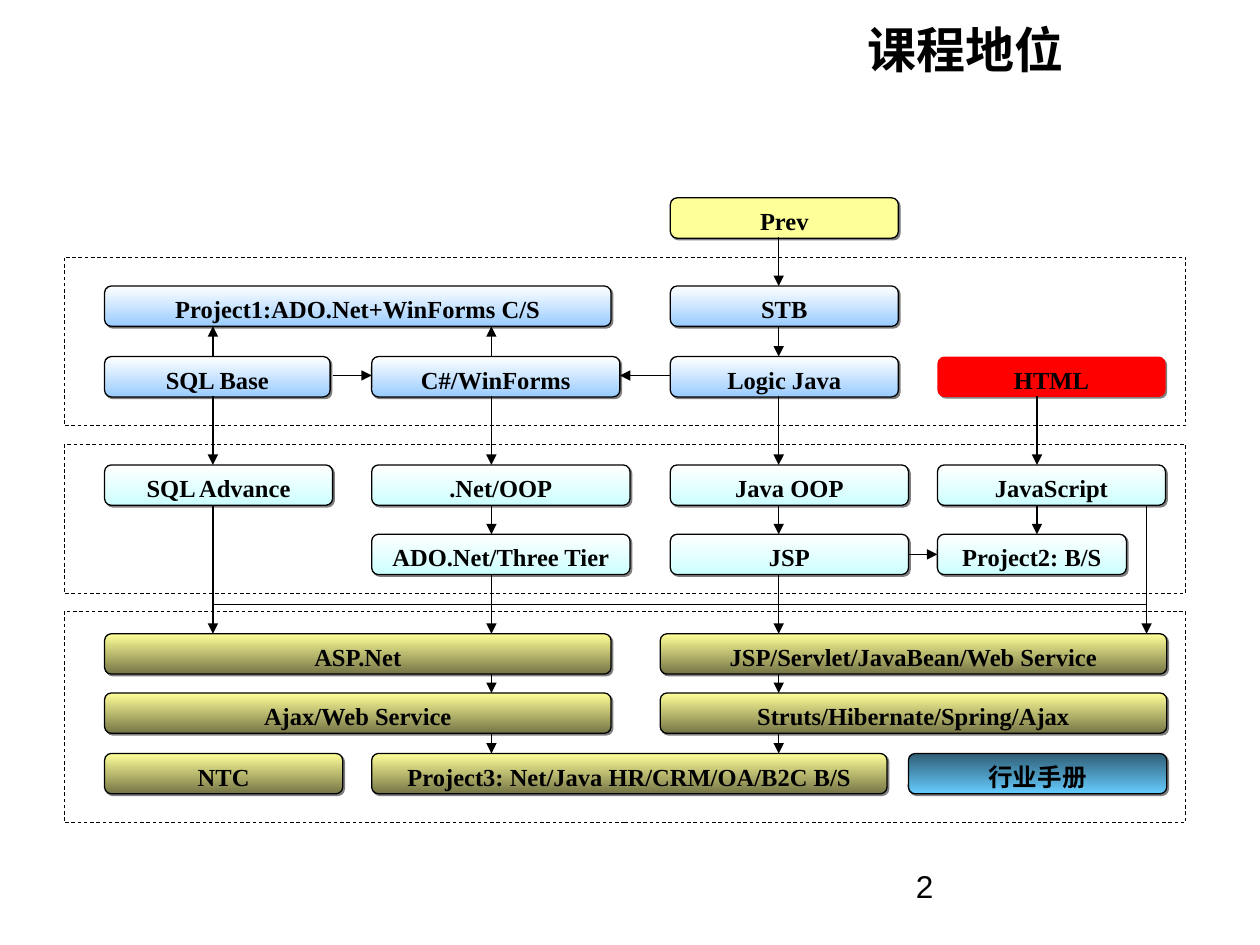
from lxml.etree import SubElement
from pptx import Presentation
from pptx.dml.color import RGBColor
from pptx.enum.dml import MSO_LINE
from pptx.enum.shapes import MSO_CONNECTOR, MSO_SHAPE
from pptx.enum.text import MSO_ANCHOR, PP_ALIGN
from pptx.oxml.ns import qn
from pptx.util import Inches, Pt

YELLOW = ("FFFF99",)
RED = ("FF0000",)
BLUE = ("FFFFFF", "99CCFF")
CYAN = ("FFFFFF", "CCFFFF")
OLIVE = ("FFFF99", "757546")
TEAL = ("2F5E75", "66CCFF")

BOX_H = 0.32
COL1, COL2, COL3, COL4 = 0.83, 2.95, 5.32, 7.44
SQL_X, NET_X, JAVA_X, WEB_X, BUS_X = 1.69, 3.9, 6.18, 8.23, 9.1
BUS_Y = 4.8

STAGES = [(2.04, 1.34), (3.53, 1.18), (4.85, 1.68)]

ROWS = [
    (1.57, [("Prev", COL3, 1.81, YELLOW)]),
    (2.27, [("Project1:ADO.Net+WinForms C/S", COL1, 4.02, BLUE),
            ("STB", COL3, 1.81, BLUE)]),
    (2.83, [("SQL Base", COL1, 1.79, BLUE),
            ("C#/WinForms", COL2, 1.97, BLUE),
            ("Logic Java", COL3, 1.81, BLUE),
            ("HTML", COL4, 1.81, RED)]),
    (3.69, [("SQL Advance", COL1, 1.81, CYAN),
            (".Net/OOP", COL2, 2.05, CYAN),
            ("Java OOP", COL3, 1.89, CYAN),
            ("JavaScript", COL4, 1.81, CYAN)]),
    (4.24, [("ADO.Net/Three Tier", COL2, 2.05, CYAN),
            ("JSP", COL3, 1.89, CYAN),
            ("Project2: B/S", COL4, 1.5, CYAN)]),
    (5.03, [("ASP.Net", COL1, 4.02, OLIVE),
            ("JSP/Servlet/JavaBean/Web Service", 5.24, 4.02, OLIVE)]),
    (5.5, [("Ajax/Web Service", COL1, 4.02, OLIVE),
           ("Struts/Hibernate/Spring/Ajax", 5.24, 4.02, OLIVE)]),
    (5.98, [("NTC", COL1, 1.89, OLIVE),
            ("Project3: Net/Java HR/CRM/OA/B2C B/S", COL2, 4.09, OLIVE),
            ("行业手册", 7.21, 2.05, TEAL)]),
]

DOWN = [
    (1.88, 2.27, [JAVA_X]),
    (2.59, 2.83, [JAVA_X]),
    (3.14, 3.69, [SQL_X, NET_X, JAVA_X, WEB_X]),
    (4.01, 4.24, [NET_X, JAVA_X, WEB_X]),
    (4.01, 5.03, [SQL_X, BUS_X]),
    (4.56, 5.03, [NET_X, JAVA_X]),
    (5.35, 5.5, [NET_X, JAVA_X]),
    (5.82, 5.98, [NET_X, JAVA_X]),
]
UP = [(2.83, 2.59, [SQL_X, NET_X])]
ACROSS = [(2.64, 2.95, 2.98), (5.32, 4.92, 2.98), (7.21, 7.44, 4.4)]


def rgb(value):
    return RGBColor.from_string(value)


class Diagram:
    ink = "000000"
    font = "Times New Roman"
    shadow = "808080"

    def __init__(self, s):
        self.s = s

    def add_text(self, tf, text, size, font, bold, align):
        tf.word_wrap = True
        p = tf.paragraphs[0]
        p.alignment = align
        r = p.add_run()
        r.text = text
        r.font.size = Pt(size)
        r.font.name = font
        r.font.bold = bold
        r.font.color.rgb = rgb(self.ink)

    def label(self, text, x, y, w, h, size, bold=False,
              align=PP_ALIGN.LEFT, anchor=MSO_ANCHOR.TOP):
        sp = self.s.shapes.add_textbox(Inches(x), Inches(y), Inches(w), Inches(h))
        sp.text_frame.vertical_anchor = anchor
        self.add_text(sp.text_frame, text, size, "Arial", bold, align)

    def shape(self, kind, x, y, w, h):
        sp = self.s.shapes.add_shape(kind, Inches(x), Inches(y), Inches(w), Inches(h))
        sp.shadow.inherit = False
        sp.line.color.rgb = rgb(self.ink)
        return sp

    def stage(self, y, h):
        sp = self.shape(MSO_SHAPE.RECTANGLE, 0.51, y, 8.9, h)
        sp.fill.background()
        sp.line.width = Pt(0.5)
        sp.line.dash_style = MSO_LINE.DASH

    def box(self, text, x, y, w, colors):
        sp = self.shape(MSO_SHAPE.ROUNDED_RECTANGLE, x, y, w, BOX_H)
        sp.line.width = Pt(0.75)
        if len(colors) == 1:
            sp.fill.solid()
            sp.fill.fore_color.rgb = rgb(colors[0])
        else:
            sp.fill.gradient()
            sp.fill.gradient_angle = 270
            for stop, color in zip(sp.fill.gradient_stops, colors):
                stop.color.rgb = rgb(color)
        if colors == RED:
            sp.line.fill.background()
        self.drop_shadow(sp)
        sp.text_frame.vertical_anchor = MSO_ANCHOR.TOP
        self.add_text(sp.text_frame, text, 14, self.font, True, PP_ALIGN.CENTER)

    def drop_shadow(self, sp):
        effects = sp._element.spPr.find(qn("a:effectLst"))
        outer = SubElement(effects, qn("a:outerShdw"), blurRad="0",
                           dist=str(Pt(1.4)), dir="2700000",
                           algn="ctr", rotWithShape="0")
        SubElement(outer, qn("a:srgbClr"), val=self.shadow)

    def line(self, x1, y1, x2, y2, arrow=True):
        c = self.s.shapes.add_connector(MSO_CONNECTOR.STRAIGHT, Inches(x1),
                                        Inches(y1), Inches(x2), Inches(y2))
        c.line.color.rgb = rgb(self.ink)
        c.line.width = Pt(0.75)
        if arrow:
            SubElement(c.line._get_or_add_ln(), qn("a:tailEnd"), type="triangle")
        SubElement(c._element.spPr, qn("a:effectLst"))


def main():
    prs = Presentation()
    prs.slide_width, prs.slide_height = Inches(10), Inches(7.5)
    d = Diagram(prs.slides.add_slide(prs.slide_layouts[6]))

    d.label("课程地位", -0.2, -0.22, 8.74, 1.21, 28, True,
            PP_ALIGN.RIGHT, MSO_ANCHOR.MIDDLE)
    for y, h in STAGES:
        d.stage(y, h)
    for y, boxes in ROWS:
        for text, x, w, colors in boxes:
            d.box(text, x, y, w, colors)
    for y1, y2, columns in DOWN + UP:
        for x in columns:
            d.line(x, y1, x, y2)
    for x1, x2, y in ACROSS:
        d.line(x1, y, x2, y)
    for x in (SQL_X, BUS_X):
        d.line(x, BUS_Y, NET_X, BUS_Y, arrow=False)
    d.label("2", 7.17, 6.83, 2.33, 0.52, 18)

    prs.save("out.pptx")


if __name__ == "__main__":
    main()
